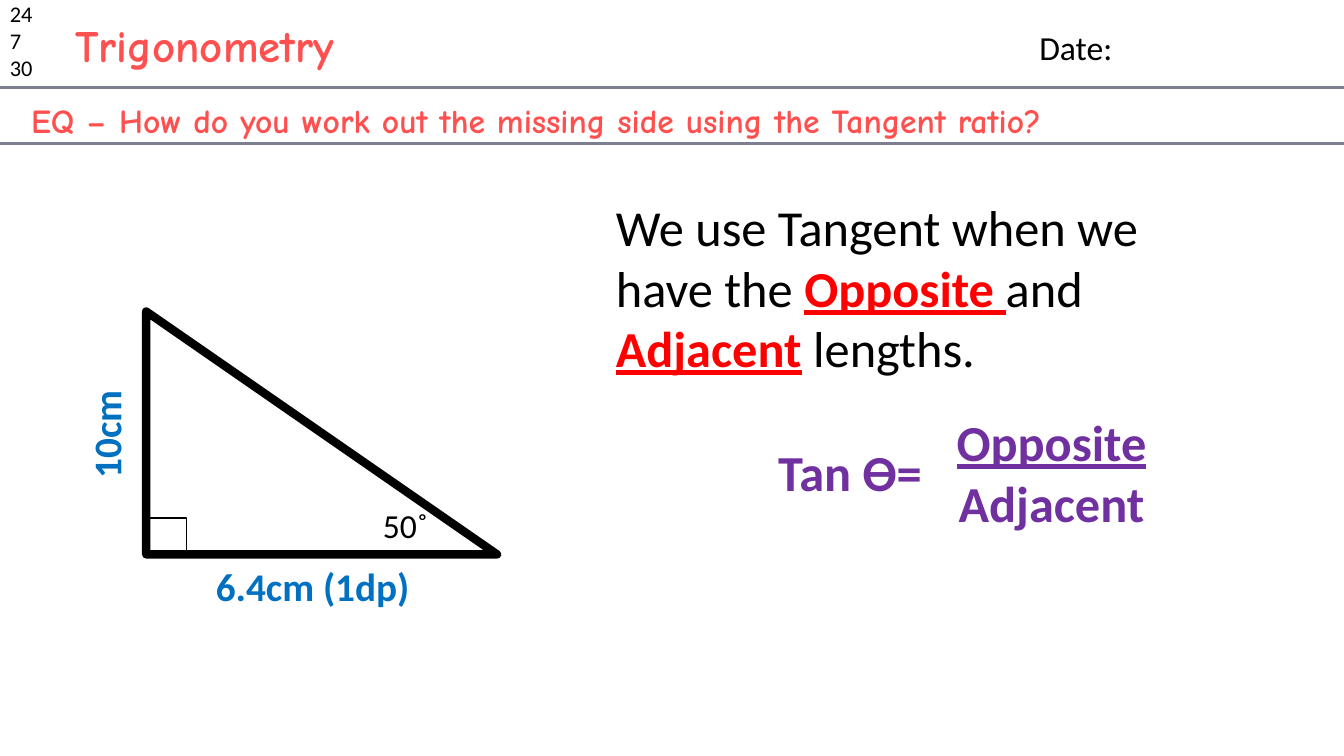
from lxml import etree
from pptx import Presentation
from pptx import util as u
from pptx.dml.color import RGBColor
from pptx.enum import shapes, text
from pptx.oxml import ns

BLACK = RGBColor(0x00, 0x00, 0x00)
RULE_GREY = RGBColor(0x7C, 0x7F, 0x91)
CORAL = RGBColor(0xFF, 0x50, 0x50)
RED = RGBColor(0xFF, 0x00, 0x00)
BLUE = RGBColor(0x00, 0x70, 0xC0)
PURPLE = RGBColor(0x70, 0x30, 0xA0)

BODY_FONT = "Calibri"
TITLE_FONT = "Comic Neue"
SLIDE_WIDTH = 13.33


def add_rule(page, y):
    rule = page.shapes.add_connector(
        shapes.MSO_CONNECTOR.STRAIGHT,
        u.Inches(0), u.Inches(y), u.Inches(SLIDE_WIDTH), u.Inches(y))
    rule.line.color.rgb = RULE_GREY
    rule.line.width = u.Pt(2.25)
    etree.SubElement(rule._element.spPr, ns.qn("a:effectLst"))


def add_outline(parent, preset, place, width):
    """Add an unfilled preset shape with a black outline."""
    shape = parent.shapes.add_shape(preset, *map(u.Inches, place))
    shape.shadow.inherit = False
    shape.fill.background()
    shape.line.color.rgb = BLACK
    shape.line.width = u.Pt(width)


def add_text(parent, place, paragraphs, size, color=BLACK, font=BODY_FONT,
             bold=False, centred=False, wrap=True):
    """Add a text box; each paragraph is a list of (words, overrides) runs."""
    box = parent.shapes.add_textbox(*map(u.Inches, place))
    frame = box.text_frame
    frame.word_wrap = wrap
    frame.auto_size = text.MSO_AUTO_SIZE.SHAPE_TO_FIT_TEXT
    for index, runs in enumerate(paragraphs):
        para = frame.add_paragraph() if index else frame.paragraphs[0]
        para.alignment = text.PP_ALIGN.CENTER if centred else text.PP_ALIGN.LEFT
        for words, overrides in runs:
            span = para.add_run()
            span.text = words
            span.font.name = font
            span.font.size = u.Pt(size)
            span.font.bold = overrides.get("bold", bold)
            span.font.underline = overrides.get("underline", False)
            span.font.color.rgb = overrides.get("color", color)
    return box


def add_header(page):
    add_rule(page, 0.87)
    add_text(page, (0, -0.05, 0.63, 0.91),
             [[(number, {})] for number in ("24", "7", "30")], 16)
    add_text(page, (0.65, 0.13, 3.13, 0.64), [[("Trigonometry", {})]], 32,
             CORAL, TITLE_FONT, bold=True, wrap=False)
    add_text(page, (10.21, 0.22, 2.36, 0.5), [[("Date:", {})]], 24)
    question = "EQ – How do you work out the missing side using the Tangent ratio?"
    add_text(page, (0.21, 0.94, 11.6, 0.5), [[(question, {})]], 24,
             CORAL, TITLE_FONT, bold=True)
    add_rule(page, 1.42)


def add_triangle(page):
    group = page.shapes.add_group_shape()
    preset = shapes.MSO_SHAPE
    add_outline(group, preset.RIGHT_TRIANGLE, (1.45, 3.09, 3.48, 2.41), 6)
    add_outline(group, preset.RECTANGLE, (1.45, 5.14, 0.4, 0.36), 1)
    add_text(group, (3.7, 4.96, 0.65, 0.5), [[("50˚", {})]], 24, wrap=False)
    add_text(page, (1.76, 5.53, 2.68, 0.57), [[("6.4cm (1dp)", {})]], 28,
             BLUE, bold=True, centred=True)
    height = add_text(page, (0.17, 3.68, 1.76, 0.57), [[("10cm", {})]], 28,
                      BLUE, bold=True)
    height.rotation = 270


def add_tangent_rule(page):
    key_term = {"color": RED, "bold": True, "underline": True}
    add_text(page, (6.01, 1.9, 6.45, 1.92), [[
        ("We use Tangent when we have the ", {}),
        ("Opposite ", key_term),
        ("and ", {}),
        ("Adjacent", key_term),
        (" lengths.", {}),
    ]], 36)
    add_text(page, (7.62, 4.33, 2.61, 0.71), [[("Tan ϴ=", {})]], 36,
             PURPLE, bold=True)
    add_text(page, (9.05, 4.03, 2.76, 1.31),
             [[("Opposite", {"underline": True})], [("Adjacent", {})]], 36,
             PURPLE, bold=True, centred=True)


def main():
    deck = Presentation()
    deck.slide_width = u.Inches(SLIDE_WIDTH)
    deck.slide_height = u.Inches(7.5)
    page = deck.slides.add_slide(deck.slide_layouts[6])
    add_header(page)
    add_triangle(page)
    add_tangent_rule(page)
    deck.save("out.pptx")


if __name__ == "__main__":
    main()
